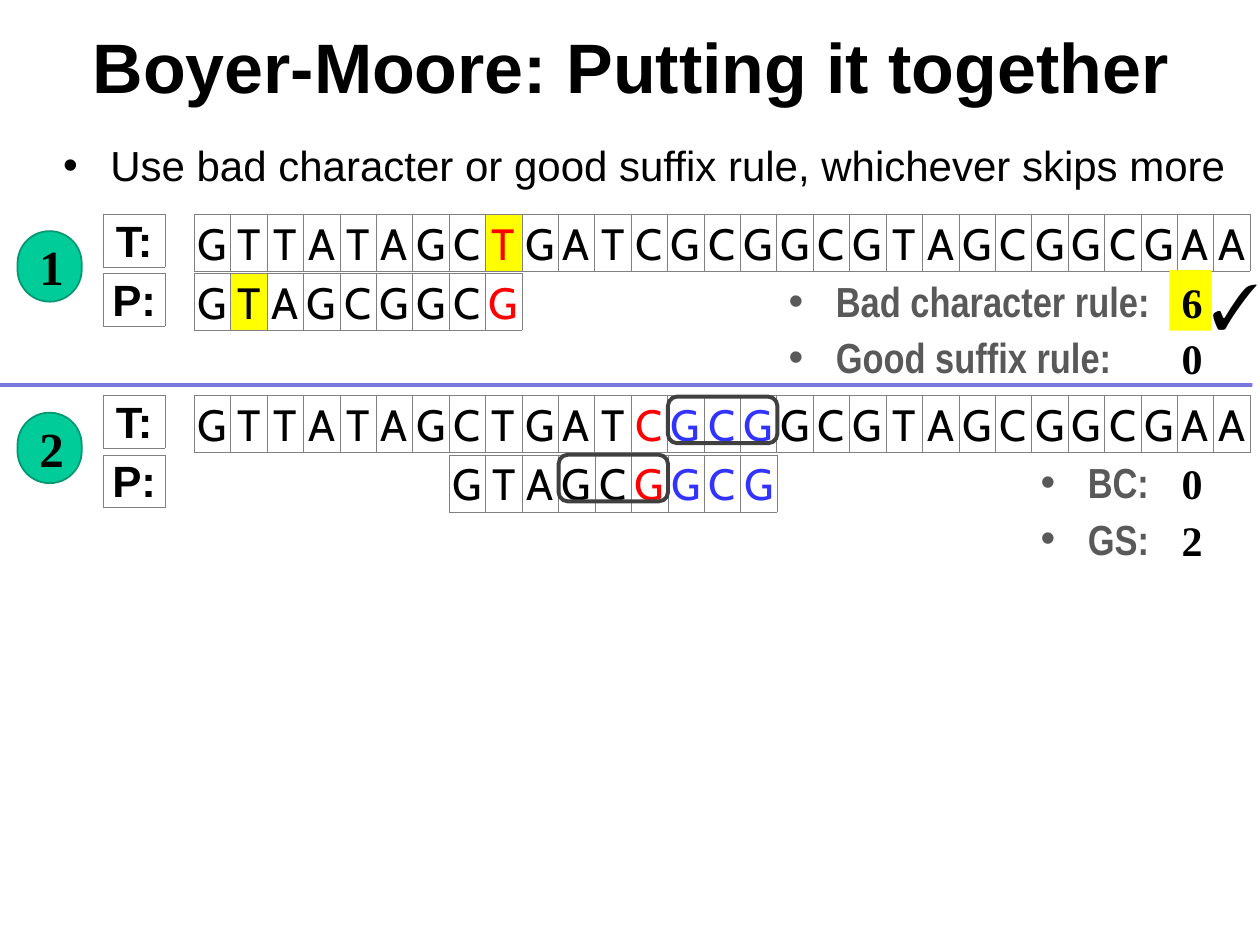
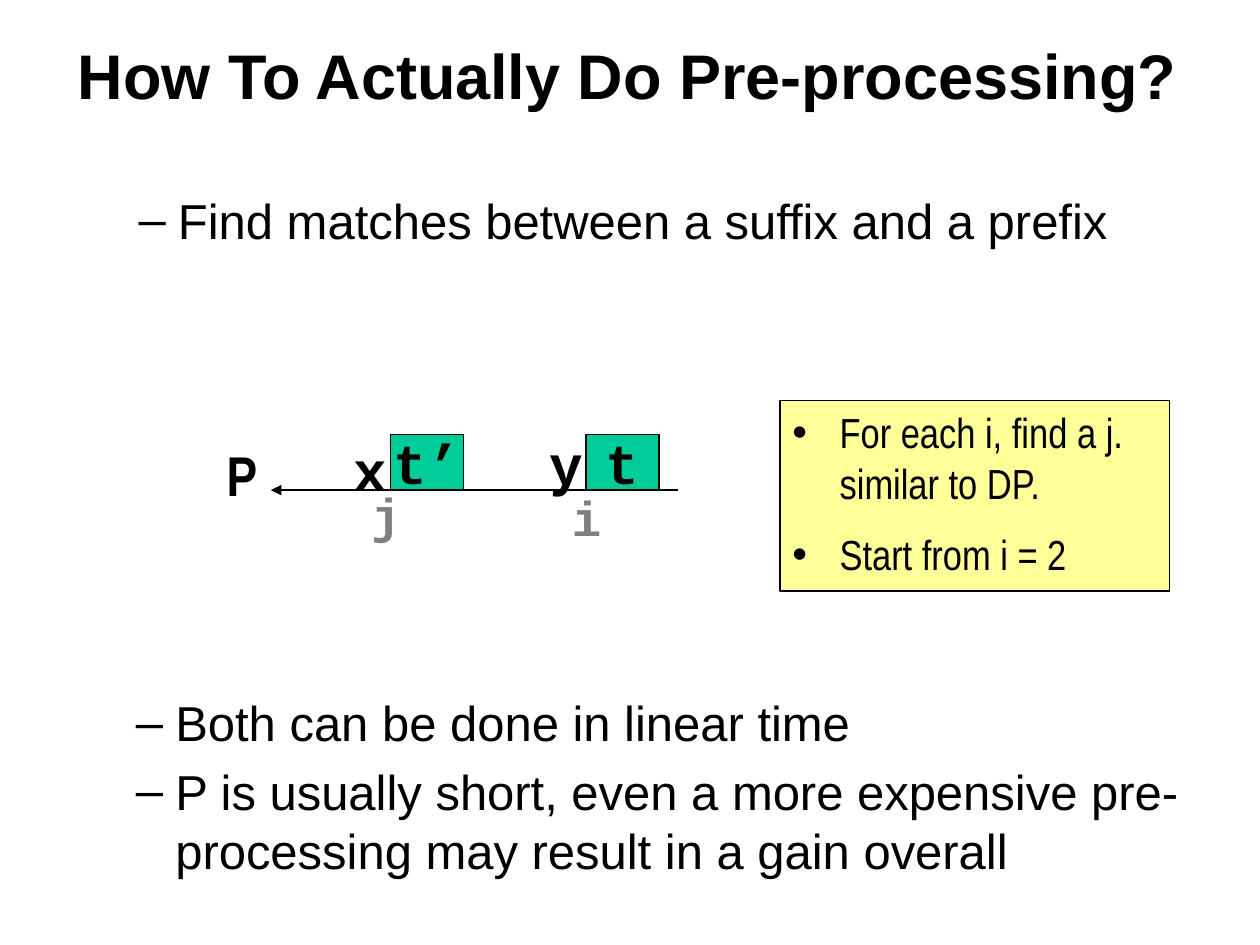
from lxml import etree
from pptx import Presentation
from pptx.dml.color import RGBColor
from pptx.enum.shapes import MSO_CONNECTOR, MSO_SHAPE
from pptx.enum.text import MSO_ANCHOR, MSO_AUTO_SIZE, PP_ALIGN
from pptx.oxml import parse_xml
from pptx.oxml.ns import nsdecls, qn
from pptx.util import Pt

# Colours
BLACK = RGBColor(0x00, 0x00, 0x00)
RED = RGBColor(0xFF, 0x00, 0x00)
BLUE = RGBColor(0x33, 0x33, 0xFF)
YELLOW = RGBColor(0xFF, 0xFF, 0x00)
PALE_YELLOW = RGBColor(0xFF, 0xFF, 0x99)
GREEN = RGBColor(0x00, 0xCC, 0x99)
DARK_GREEN = RGBColor(0x00, 0x97, 0x71)
VIOLET = RGBColor(0x78, 0x78, 0xDE)
CHARCOAL = RGBColor(0x40, 0x40, 0x40)
DARK_GRAY = RGBColor(0x59, 0x59, 0x59)
GRAY = RGBColor(0x80, 0x80, 0x80)

# Fonts
SANS, NARROW, SERIF = "Arial", "Arial Narrow", "Times New Roman"
MONO, SEQUENCE_FONT = "Courier New", "Cabin"

# Alignment grid of the sequences, in points
TEXT = "GTTATAGCTGATCGCGGCGTAGCGGCGAA"
PATTERN = "GTAGCGGCG"
CELL = 20.83
SEQUENCE_LEFT = 110.9
ROW_STEP = 33.8
SCORE_LEFT = 668.2


def place(shape, box):
    shape.left, shape.top, shape.width, shape.height = (Pt(value) for value in box)


def add_run(paragraph, text, font, size, color=BLACK, bold=False):
    run = paragraph.add_run()
    run.text = text
    run.font.name, run.font.size, run.font.bold = font, Pt(size), bold
    run.font.color.rgb = color


def set_bullet(paragraph, character, margin, indent):
    properties = paragraph._p.get_or_add_pPr()
    properties.set("marL", str(Pt(margin)))
    properties.set("indent", str(Pt(indent)))
    etree.SubElement(properties, qn("a:buFont")).set("typeface", SANS)
    etree.SubElement(properties, qn("a:buChar")).set("char", character)


def write(shape, lines, font, size, color=BLACK, bold=False, align=PP_ALIGN.LEFT,
          anchor=MSO_ANCHOR.TOP, wrap=True, bullet=None, level=0, gap=0):
    """Fill a shape with one paragraph per line; bullet is (character, margin, indent)."""
    frame = shape.text_frame
    frame.auto_size = MSO_AUTO_SIZE.NONE
    frame.word_wrap = wrap
    frame.vertical_anchor = anchor
    for index, line in enumerate(lines):
        paragraph = frame.add_paragraph() if index else frame.paragraphs[0]
        paragraph.level = level
        if bullet:
            set_bullet(paragraph, *bullet)
        paragraph.alignment = align
        paragraph.space_before = Pt(gap if index else 0)
        add_run(paragraph, line, font, size, color, bold)


def add_text(slide, box, lines, font, size, **style):
    write(slide.shapes.add_textbox(*(Pt(value) for value in box)), lines, font, size, **style)


def add_box(slide, kind, box, fill=None, line=None, width=0.75):
    shape = slide.shapes.add_shape(kind, *(Pt(value) for value in box))
    shape.shadow.inherit = False
    if fill is None:
        shape.fill.background()
    else:
        shape.fill.solid()
        shape.fill.fore_color.rgb = fill
    if line is None:
        shape.line.fill.background()
    else:
        shape.line.color.rgb = line
        shape.line.width = Pt(width)
    return shape


DOT = ("•", 27, -27)
DASH = ("–", 58.5, -22.5)


def add_slide(presentation, title, title_box, title_size, body_box, body_style):
    """Add a slide with its title and the list below it."""
    slide = presentation.slides.add_slide(presentation.slide_layouts[1])
    heading, body = slide.placeholders
    place(heading, title_box)
    write(heading, [title], SANS, title_size, bold=True,
          align=PP_ALIGN.CENTER, anchor=MSO_ANCHOR.MIDDLE)
    place(body, body_box)
    write(body, font=SANS, **body_style)
    return slide


def add_cells(slide, left, top, texts, width, height, font, bold=False,
              colors=None, marked=()):
    """Add a one-row table; colors maps a column to its text colour."""
    frame = slide.shapes.add_table(1, len(texts), Pt(left), Pt(top),
                                   Pt(width * len(texts)), Pt(height))
    table = frame.table
    table.first_row = table.horz_banding = False
    table.rows[0].height = Pt(height)
    for column, text in enumerate(texts):
        table.columns[column].width = Pt(width)
        cell = table.cell(0, column)
        cell.margin_left = cell.margin_right = cell.margin_top = cell.margin_bottom = 0
        cell.vertical_anchor = MSO_ANCHOR.MIDDLE
        for side in ("lnL", "lnR", "lnT", "lnB"):
            cell._tc.get_or_add_tcPr().append(parse_xml(
                f'<a:{side} {nsdecls("a")} w="{Pt(0.25)}"><a:solidFill>'
                f'<a:srgbClr val="{GRAY}"/></a:solidFill></a:{side}>'))
        if column in marked:
            cell.fill.solid()
            cell.fill.fore_color.rgb = YELLOW
        else:
            cell.fill.background()
        paragraph = cell.text_frame.paragraphs[0]
        paragraph.alignment = PP_ALIGN.CENTER
        paragraph.line_spacing = 1.07
        paragraph.space_after = Pt(8)
        add_run(paragraph, text, font, 25, (colors or {}).get(column, BLACK), bold)


def add_step(slide, top, number, shift, text_colors, pattern_colors, rules, rules_left,
             text_marked=(), pattern_marked=(), best=None):
    """Add one alignment step: badge, text and pattern rows, and rule scores."""
    # Sequences
    add_cells(slide, SEQUENCE_LEFT, top, TEXT, CELL, 29.5, SEQUENCE_FONT,
              colors=text_colors, marked=text_marked)
    add_cells(slide, SEQUENCE_LEFT + shift * CELL, top + ROW_STEP, PATTERN, CELL, 29.5,
              SEQUENCE_FONT, colors=pattern_colors, marked=pattern_marked)
    for row, label in enumerate(("T:", "P:")):
        add_cells(slide, 59, top + row * ROW_STEP, [label], 35.3, 30, SANS, bold=True)

    # Number badge
    badge = add_box(slide, MSO_SHAPE.ROUNDED_RECTANGLE, (10, top + 9.7, 36.7, 40.3),
                    GREEN, DARK_GREEN, 1)
    badge.adjustments[0] = 0.5
    write(badge, [number], SERIF, 28, bold=True, align=PP_ALIGN.CENTER,
          anchor=MSO_ANCHOR.MIDDLE)

    # Rule names and how far each one skips
    for row, (rule, score) in enumerate(rules):
        rule_top = top + 31.4 + row * 32.2
        add_text(slide, (rules_left, rule_top, SCORE_LEFT - rules_left, 34.6), [rule],
                 NARROW, 24, color=DARK_GRAY, bold=True, bullet=DOT)
        score_box = (SCORE_LEFT, rule_top + 0.6, 24.2, 34.6)
        if row == best:
            highlight = add_box(slide, MSO_SHAPE.RECTANGLE, score_box, YELLOW)
            write(highlight, [score], SERIF, 24, bold=True)
            add_text(slide, (SCORE_LEFT + 17.2, top + 26.6, 24.2, 34.6), ["✓"],
                     SERIF, 36, bold=True)
        else:
            add_text(slide, score_box, [score], SERIF, 24, bold=True)


def add_match_frame(slide, column, top):
    """Outline three matching letters that start at a column."""
    frame = add_box(slide, MSO_SHAPE.ROUNDED_RECTANGLE,
                    (SEQUENCE_LEFT + column * CELL, top, 3 * CELL, 26.6),
                    line=CHARCOAL, width=2.25)
    frame.adjustments[0] = 0.195


def build_rules_slide(presentation):
    slide = add_slide(
        presentation, "Boyer-Moore: Putting it together", (29.5, 1.4, 661.7, 72), 40,
        (28.8, 76.3, 686.9, 56.9),
        dict(lines=["Use bad character or good suffix rule, whichever skips more"],
             size=24, bullet=DOT))
    first_top, second_top = 122.4, 226.1
    add_step(slide, first_top, "1", 0, {8: RED}, {8: RED},
             [("Bad character rule:", "6"), ("Good suffix rule:", "0")], 443.5,
             text_marked=[8], pattern_marked=[1], best=0)
    add_step(slide, second_top, "2", 7,
             {12: RED, 13: BLUE, 14: BLUE, 15: BLUE}, {5: RED, 6: BLUE, 7: BLUE, 8: BLUE},
             [("BC:", "0"), ("GS:", "2")], 587.5)
    add_box(slide, MSO_SHAPE.RECTANGLE, (0, 218.9, 715.7, 2.2), VIOLET)
    add_match_frame(slide, 13, second_top + 0.6)
    add_match_frame(slide, 10, second_top + ROW_STEP)


def add_pattern_diagram(slide, left, top):
    """Draw pattern P as an arrow carrying the two matching blocks t' and t."""
    axis = top + 38.2
    arrow = slide.shapes.add_connector(MSO_CONNECTOR.STRAIGHT, Pt(left + 32.4), Pt(axis),
                                       Pt(left + 265), Pt(axis))
    arrow.line.color.rgb = BLACK
    arrow.line.width = Pt(1.5)
    etree.SubElement(arrow.line._get_or_add_ln(), qn("a:headEnd")).set("type", "triangle")
    etree.SubElement(arrow._element.spPr, qn("a:effectLst"))

    for block, block_left in (("t", 212.4), ("t’", 100.8)):
        shape = add_box(slide, MSO_SHAPE.RECTANGLE,
                        (left + block_left, axis - 31.7, 41.8, 31.7), GREEN, BLACK)
        write(shape, [block], MONO, 32, bold=True, align=PP_ALIGN.CENTER,
              anchor=MSO_ANCHOR.MIDDLE, wrap=False)

    labels = [("y", 184.3, 0, MONO, 32, BLACK), ("P", 0, 6.5, NARROW, 32, BLACK),
              ("x", 72.7, 3.6, MONO, 32, BLACK), ("i", 197.3, 33.1, MONO, 28, GRAY),
              ("j", 82.8, 31.7, MONO, 28, GRAY)]
    for label, x, y, font, size, color in labels:
        add_text(slide, (left + x, top + y, 33, size + 14), [label], font, size,
                 color=color, bold=True, wrap=False)


def build_preprocessing_slide(presentation):
    list_style = dict(size=28, bullet=DASH, level=1, gap=5.6)
    slide = add_slide(
        presentation, "How To Actually Do Pre-processing?", (18, 9.4, 681.1, 66.2), 36,
        (36, 105.1, 648, 61.2),
        dict(lines=["Find matches between a suffix and a prefix"], **list_style))
    add_pattern_diagram(slide, 122.4, 241.9)

    # Note beside the diagram
    note = add_box(slide, MSO_SHAPE.RECTANGLE, (445.7, 229, 222.5, 108.7),
                   PALE_YELLOW, BLACK)
    write(note, ["For each i, find a j. similar to DP.", "Start from i = 2"], NARROW, 24,
          bullet=DOT, gap=12)

    # Closing remarks
    add_text(slide, (34.6, 392.4, 648, 161.3),
             ["Both can be done in linear time",
              "P is usually short, even a more expensive pre-processing "
              "may result in a gain overall"], SANS, **list_style)


def main():
    presentation = Presentation()
    presentation.slide_width, presentation.slide_height = Pt(720), Pt(540)
    build_rules_slide(presentation)
    build_preprocessing_slide(presentation)
    presentation.save("out.pptx")


if __name__ == "__main__":
    main()
